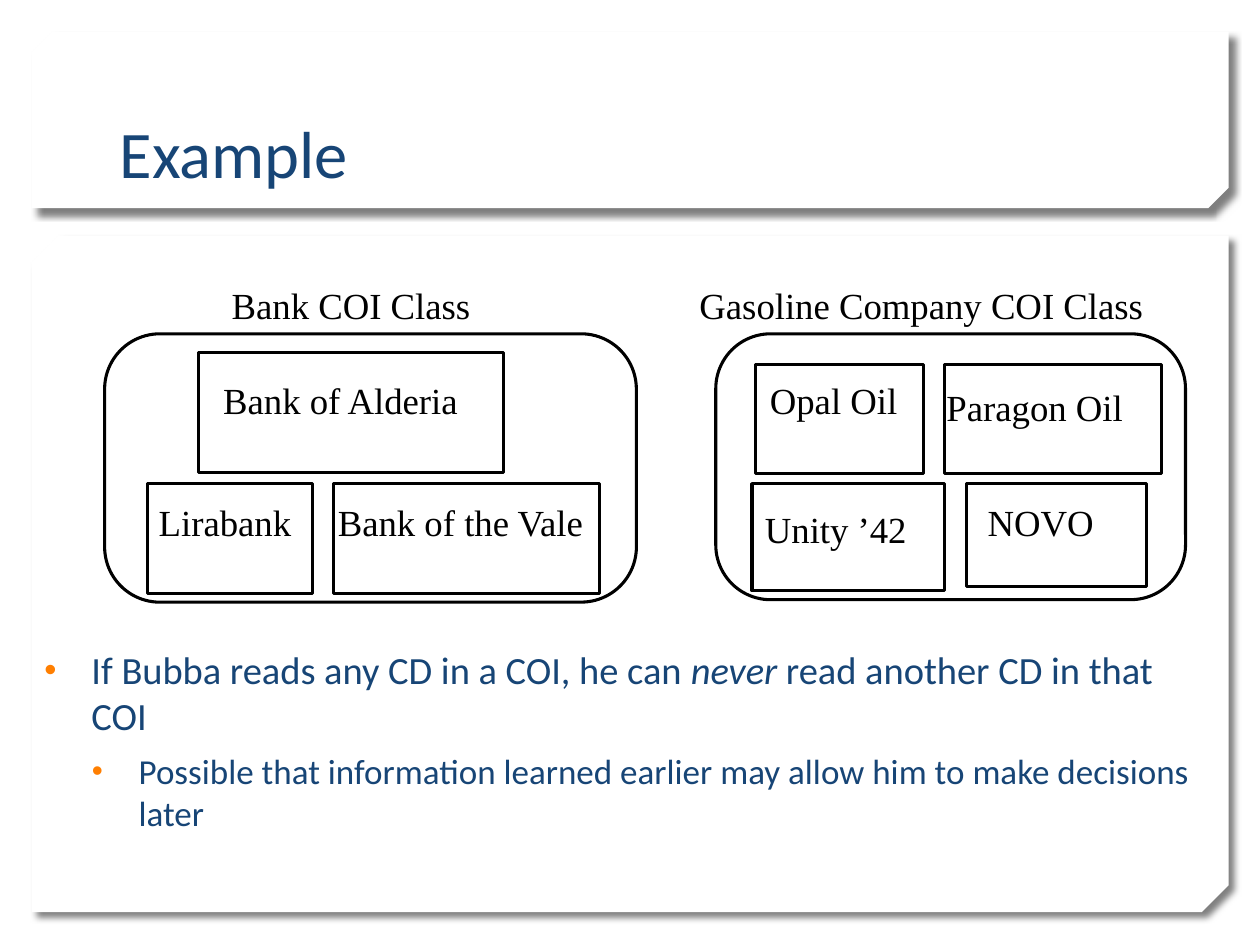
from lxml.etree import SubElement as Sub
from pptx import Presentation
from pptx.dml.color import RGBColor as Rgb
from pptx.enum.shapes import MSO_SHAPE as Kind
from pptx.enum.text import MSO_ANCHOR as Anchor, MSO_AUTO_SIZE as Fit, PP_ALIGN as Align
from pptx.oxml.ns import qn
from pptx.util import Cm, Pt

# Content; places are left, top, width, height in cm
TITLE = ("Example", (2.16, 0.81, 21.06, 3.18))
BODY = (0.64, 12.9, 24.13, 4.88)
ITEMS = [  # level, (text, italic) runs
    (0, [("If Bubba reads any CD in a COI, he can ", False), ("never", True),
         (" read another CD in that COI", False)]),
    (1, [("Possible that information learned earlier may allow him to make decisions later",
          False)]),
]
PANELS = [((0.64, 4.75, 24.13, 13.64), 0.04), ((0.64, 0.64, 24.13, 3.56), 0.117)]
LABEL_H = 0.89
CLASSES = [  # label: text, left, top, width
    {"head": ("Bank COI Class", 4.67, 5.7, 5.21),
     "frame": (2.11, 6.73, 10.72, 5.41),
     "firms": [
         ((4.01, 7.11, 6.15, 2.41), ("Bank of Alderia", 4.5, 7.62, 5.23)),
         ((2.97, 9.75, 3.33, 2.21), ("Lirabank", 3.2, 10.08, 2.82)),
         ((6.73, 9.75, 5.36, 2.21), ("Bank of the Vale", 6.81, 10.08, 5.13))]},
    {"head": ("Gasoline Company COI Class", 14.1, 5.7, 9.58),
     "frame": (14.43, 6.73, 9.47, 5.36),
     "firms": [
         ((15.24, 7.34, 3.38, 2.21), ("Opal Oil", 15.52, 7.62, 2.77)),
         ((19.05, 7.34, 4.37, 2.21), ("Paragon Oil", 19.08, 7.75, 4.17)),
         ((15.16, 9.75, 3.89, 2.16), ("Unity ’42", 15.42, 10.21, 3.25)),
         ((19.48, 9.75, 3.63, 2.08), ("NOVO", 19.91, 10.08, 2.21))]},
]

# Theme
THEME = {
    "title": {"name": "Calibri", "size": Pt(38), "color": "174576"},
    "levels": [
        {"font": {"name": "Calibri", "size": Pt(22), "color": "174576"},
         "space": Pt(20), "left": Cm(0.95), "hang": Cm(-0.95)},
        {"font": {"name": "Calibri", "size": Pt(20), "color": "174576"},
         "space": Pt(6), "left": Cm(1.9), "hang": Cm(-0.94)}],
    "label": {"name": "Times New Roman", "size": Pt(21), "color": "000000"},
    "line": "000000", "width": Pt(1.75), "round": 0.206,
    "panel": "FFFFFF", "shadow": "000000", "bullet": "FF7F01",
}


def place(part, spot):
    for key, val in zip(("left", "top", "width", "height"), spot):
        setattr(part, key, Cm(val))


def style(font, look, italic=None):
    for key, val in {**look, "italic": italic}.items():
        if key == "color":
            font.color.rgb = Rgb.from_string(val)
        else:
            setattr(font, key, val)


def shape(kind, spot):
    part = slide.shapes.add_shape(kind, *map(Cm, spot))
    part.shadow.inherit = False
    return part


def panel(spot, snip):
    part = shape(Kind.SNIP_2_DIAG_RECTANGLE, spot)
    part.adjustments[0], part.adjustments[1] = 0, snip
    part.fill.solid()
    part.fill.fore_color.rgb = Rgb.from_string(THEME["panel"])
    part.line.fill.background()
    props = part.element.spPr
    props.find(qn("a:xfrm")).set("flipV", "1")
    cast = Sub(props.find(qn("a:effectLst")), qn("a:outerShdw"), blurRad=str(Pt(4)),
               dist=str(Pt(5)), dir="2700000", algn="tl", rotWithShape="0")
    tint = Sub(cast, qn("a:srgbClr"), val=THEME["shadow"])
    Sub(tint, qn("a:alpha"), val="50000")
    return part


def box(kind, spot):
    part = shape(kind, spot)
    part.fill.background()
    part.line.color.rgb = Rgb.from_string(THEME["line"])
    part.line.width = THEME["width"]
    return part


def label(text, left, top, width):
    frame = slide.shapes.add_textbox(*map(Cm, (left, top, width, LABEL_H))).text_frame
    look = {"margin_left": 0, "margin_top": 0, "margin_right": 0, "margin_bottom": 0,
            "word_wrap": False, "auto_size": Fit.SHAPE_TO_FIT_TEXT}
    for key, val in look.items():
        setattr(frame, key, val)
    run = frame.paragraphs[0].add_run()
    run.text = text
    style(run.font, THEME["label"])


def bullet(para, look):
    para.space_before = look["space"]
    props = para._p.get_or_add_pPr()
    props.set("marL", str(look["left"]))
    props.set("indent", str(look["hang"]))
    Sub(Sub(props, qn("a:buClr")), qn("a:srgbClr"), val=THEME["bullet"])
    Sub(props, qn("a:buSzPct"), val="90000")
    Sub(props, qn("a:buFont"), typeface="Arial")
    Sub(props, qn("a:buChar"), char="•")


deck = Presentation()
deck.slide_width, deck.slide_height = Cm(25.4), Cm(19.05)
slide = deck.slides.add_slide(deck.slide_layouts[1])

# Panels, sent behind the placeholders
for at, (spot, snip) in enumerate(PANELS):
    slide.shapes._spTree.insert(2 + at, panel(spot, snip).element)

# Title
head = slide.shapes.title
place(head, TITLE[1])
head.text_frame.text = TITLE[0]
head.text_frame.vertical_anchor = Anchor.BOTTOM
head.text_frame.auto_size = Fit.NONE
para = head.text_frame.paragraphs[0]
para.alignment = Align.LEFT
style(para.runs[0].font, THEME["title"])

# Bullets
body = slide.placeholders[1]
place(body, BODY)
body.text_frame.auto_size = Fit.NONE
for at, (level, runs) in enumerate(ITEMS):
    para = body.text_frame.add_paragraph() if at else body.text_frame.paragraphs[0]
    para.level = level
    bullet(para, THEME["levels"][level])
    for text, italic in runs:
        run = para.add_run()
        run.text = text
        style(run.font, THEME["levels"][level]["font"], italic)

# Conflict classes
for group in CLASSES:
    box(Kind.ROUNDED_RECTANGLE, group["frame"]).adjustments[0] = THEME["round"]
    label(*group["head"])
    for spot, name in group["firms"]:
        box(Kind.RECTANGLE, spot)
        label(*name)

deck.save("out.pptx")
